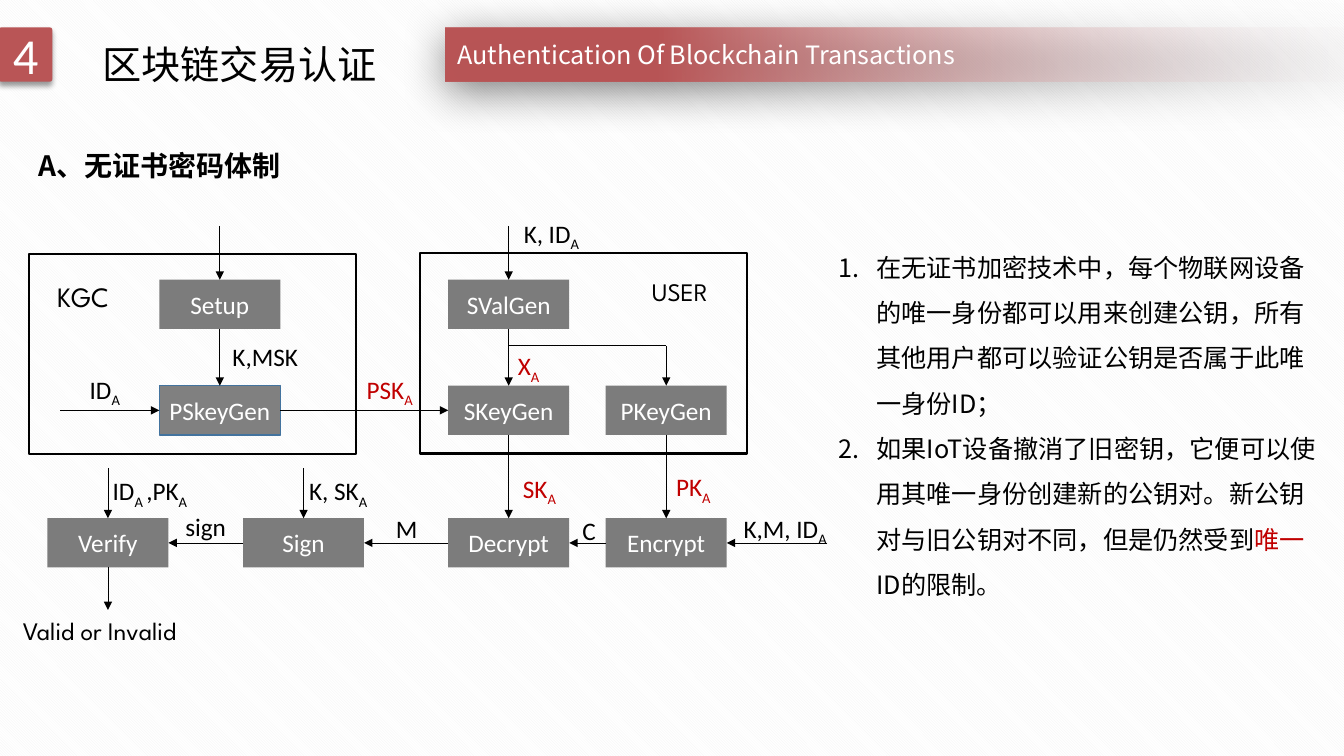
"""Builds the slide on certificateless keys for authenticating blockchain transactions."""
import lxml.etree
import pptx
import pptx.dml.color
import pptx.enum.dml
import pptx.enum.shapes
import pptx.enum.text
import pptx.oxml.ns
import pptx.util

Cm = pptx.util.Cm
Pt = pptx.util.Pt
RGBColor = pptx.dml.color.RGBColor
Shapes = pptx.enum.shapes.MSO_SHAPE
Align = pptx.enum.text.PP_ALIGN
Anchor = pptx.enum.text.MSO_ANCHOR
qn = pptx.oxml.ns.qn

BLACK = RGBColor(0x00, 0x00, 0x00)
WHITE = RGBColor(0xFF, 0xFF, 0xFF)
RED = RGBColor(0xC0, 0x00, 0x00)
BRICK = RGBColor(0xB9, 0x55, 0x56)
PALE = RGBColor(0xF7, 0xFA, 0xFD)
STRIPE = RGBColor(0xF2, 0xF2, 0xF2)
GREY = RGBColor(0x7C, 0x7C, 0x7C)
MID_GREY = RGBColor(0x80, 0x80, 0x80)
BLUE = RGBColor(0x43, 0x73, 0x9E)

LATIN, DISPLAY, CHINESE = "Calibri", "League Spartan", "Noto Sans CJK SC"
BOX_WIDTH, BOX_HEIGHT = 3.05, 1.24
HALF_WIDTH, HALF_HEIGHT = BOX_WIDTH / 2, BOX_HEIGHT / 2
VERIFY, SETUP, SIGN, USER, PUBLIC = 2.72, 5.54, 7.65, 12.82, 16.79
TOP, MIDDLE, BOTTOM = 7.67, 10.34, 13.68
ENTRY, BRANCH, SIGN_ENTRY = 5.69, 8.71, 11.8


class SlideBuilder:
    """Holds the text style and the current slide."""

    def __init__(self, page, size=18):
        self.page = page
        self.size = size

    def span(self, para, text, font=LATIN, color=BLACK, size=None, bold=False, lowered=False):
        span = para.add_run()
        span.text = text
        span.font.name = font
        span.font.size = Pt(size or self.size)
        span.font.bold = bold
        span.font.color.rgb = color
        properties = span.font._element
        lxml.etree.SubElement(properties, qn("a:ea")).set("typeface", font)
        if lowered:
            properties.set("baseline", "-25000")

    def shape(self, kind, left, top, width, height, fill=None, line=None, weight=1.5):
        shape = self.page.shapes.add_shape(kind, Cm(left), Cm(top), Cm(width), Cm(height))
        shape.shadow.inherit = False
        if fill is None:
            shape.fill.background()
        else:
            shape.fill.solid()
            shape.fill.fore_color.rgb = fill
        if line is None:
            shape.line.fill.background()
        else:
            shape.line.color.rgb = line
            shape.line.width = Pt(weight)
        return shape

    def caption(self, shape, text, size=None):
        frame = shape.text_frame
        frame.vertical_anchor = Anchor.MIDDLE
        frame.word_wrap = True
        para = frame.paragraphs[0]
        para.alignment = Align.CENTER
        self.span(para, text, color=WHITE, size=size)

    def box(self, text, center, middle, fill=GREY, line=None):
        shape = self.shape(Shapes.RECTANGLE, center - HALF_WIDTH, middle - HALF_HEIGHT,
                           BOX_WIDTH, BOX_HEIGHT, fill, line, 1)
        self.caption(shape, text)

    def label(self, text, left, top, width, **style):
        box = self.page.shapes.add_textbox(Cm(left), Cm(top), Cm(width), Cm(1.02))
        box.text_frame.word_wrap = True
        para = box.text_frame.paragraphs[0]
        for index, part in enumerate(text.split("|")):
            self.span(para, part, lowered=index % 2 == 1, **style)

    def line(self, start, end, arrow=True):
        line = self.page.shapes.add_connector(
            pptx.enum.shapes.MSO_CONNECTOR.STRAIGHT, *(Cm(value) for value in start + end))
        line.line.color.rgb = BLACK
        line.line.width = Pt(0.5)
        properties = line._element.spPr
        if arrow:
            tail = lxml.etree.SubElement(properties.find(qn("a:ln")), qn("a:tailEnd"))
            tail.set("type", "triangle")
        lxml.etree.SubElement(properties, qn("a:effectLst"))

    def cast_shadow(self, shape, opacity, blur, distance, angle):
        effects = shape._element.spPr.find(qn("a:effectLst"))
        shadow = lxml.etree.SubElement(effects, qn("a:outerShdw"))
        shadow.set("blurRad", str(Pt(blur)))
        shadow.set("dist", str(Pt(distance)))
        shadow.set("dir", str(angle * 60000))
        shadow.set("rotWithShape", "0")
        color = lxml.etree.SubElement(shadow, qn("a:srgbClr"))
        color.set("val", str(BLACK))
        lxml.etree.SubElement(color, qn("a:alpha")).set("val", str(opacity * 1000))

    def banner(self, left, top, width, height):
        bar = self.shape(Shapes.RECTANGLE, left, top, width, height)
        bar.fill.gradient()
        bar.fill.gradient_angle = 180
        for stop, color, position in zip(bar.fill.gradient_stops, (PALE, BRICK), (0, 0.78)):
            stop.color.rgb = color
            stop.position = position
        clear = next(bar._element.spPr.iter(qn("a:srgbClr")))
        lxml.etree.SubElement(clear, qn("a:alpha")).set("val", "0")
        self.cast_shadow(bar, 50, 31, 6, 97)

    def place(self, holder, left, top, width, height, wrap):
        holder.left, holder.top = Cm(left), Cm(top)
        holder.width, holder.height = Cm(width), Cm(height)
        frame = holder.text_frame
        frame.word_wrap = wrap
        frame.auto_size = pptx.enum.text.MSO_AUTO_SIZE.NONE
        frame.vertical_anchor = Anchor.TOP
        return frame

    def title(self, text):
        frame = self.place(self.page.shapes.title, 2.33, 0.3, 7.8, 1.83, False)
        para = frame.paragraphs[0]
        para.alignment = Align.LEFT
        para.line_spacing = 1.5
        self.span(para, text, CHINESE, size=28)

    def numbered_list(self, items):
        frame = self.place(self.page.placeholders[1], 20.88, 5.84, 12.78, 9.35, True)
        for index, item in enumerate(items):
            para = frame.add_paragraph() if index else frame.paragraphs[0]
            properties = para._element.get_or_add_pPr()
            properties.set("marL", str(Cm(0.95)))
            properties.set("indent", str(-Cm(0.95)))
            lxml.etree.SubElement(properties, qn("a:buFont")).set("typeface", CHINESE)
            lxml.etree.SubElement(properties, qn("a:buAutoNum")).set("type", "arabicPeriod")
            para.line_spacing = 1.5
            para.space_before = Pt(0)
            for text, color in item:
                self.span(para, text, CHINESE, color)


def main():
    deck = pptx.Presentation()
    deck.slide_width, deck.slide_height = Cm(33.87), Cm(19.05)
    page = deck.slides.add_slide(deck.slide_layouts[1])
    backdrop = page.background.fill
    backdrop.patterned()
    backdrop.pattern = pptx.enum.dml.MSO_PATTERN.DARK_DOWNWARD_DIAGONAL
    backdrop.fore_color.rgb, backdrop.back_color.rgb = STRIPE, WHITE

    builder = SlideBuilder(page)
    builder.title("区块链交易认证")
    badge = builder.shape(Shapes.ROUNDED_RECTANGLE, -0.03, 0.69, 1.35, 1.37, BRICK)
    badge.adjustments[0] = 0.05
    builder.cast_shadow(badge, 40, 4, 3, 90)
    builder.caption(badge, "4", 36)
    builder.banner(11.23, 0.71, 24.21, 1.35)
    builder.label("Authentication Of Blockchain Transactions", 11.28, 0.86, 13.61,
                  font=CHINESE, color=WHITE)
    builder.label("A、无证书密码体制", 0.71, 3.61, 7.77, font=CHINESE, size=20, bold=True)
    builder.numbered_list([
        [("在无证书加密技术中，每个物联网设备的唯一身份都可以用来创建公钥，"
          "所有其他用户都可以验证公钥是否属于此唯一身份ID；", BLACK)],
        [("如果IoT设备撤消了旧密钥，它便可以使用其唯一身份创建新的公钥对。"
          "新公钥对与旧公钥对不同，但是仍然受到", BLACK), ("唯一", RED), ("ID的限制。", BLACK)],
    ])

    for left, top in ((0.74, 6.4), (10.59, 6.38)):
        builder.shape(Shapes.RECTANGLE, left, top, 8.23, 5.05, line=BLACK)
    for text, center, middle in (
            ("Setup", SETUP, TOP), ("SValGen", USER, TOP), ("SKeyGen", USER, MIDDLE),
            ("PKeyGen", PUBLIC, MIDDLE), ("Verify", VERIFY, BOTTOM), ("Sign", SIGN, BOTTOM),
            ("Decrypt", USER, BOTTOM), ("Encrypt", PUBLIC, BOTTOM)):
        builder.box(text, center, middle)
    builder.box("PSkeyGen", SETUP, MIDDLE, MID_GREY, BLUE)

    for center in (SETUP, USER):
        builder.line((center, ENTRY), (center, TOP - HALF_HEIGHT))
        builder.line((center, TOP + HALF_HEIGHT), (center, MIDDLE - HALF_HEIGHT))
    builder.line((USER, BRANCH), (PUBLIC, BRANCH), arrow=False)
    builder.line((PUBLIC, BRANCH), (PUBLIC, MIDDLE - HALF_HEIGHT))
    for center in (USER, PUBLIC):
        builder.line((center, MIDDLE + HALF_HEIGHT), (center, BOTTOM - HALF_HEIGHT))
    for center in (VERIFY, SIGN):
        builder.line((center, SIGN_ENTRY), (center, BOTTOM - HALF_HEIGHT))
    builder.line((VERIFY, BOTTOM + HALF_HEIGHT), (VERIFY, 15.37))
    builder.line((1.52, MIDDLE), (SETUP - HALF_WIDTH, MIDDLE))
    builder.line((SETUP + HALF_WIDTH, MIDDLE), (USER - HALF_WIDTH, MIDDLE))
    for source, target in ((PUBLIC, USER), (USER, SIGN), (SIGN, VERIFY)):
        builder.line((source - HALF_WIDTH, BOTTOM), (target + HALF_WIDTH, BOTTOM))
    builder.line((20.85, BOTTOM), (PUBLIC + HALF_WIDTH, BOTTOM))

    builder.label("KGC", 1.19, 6.91, 2.36, font=DISPLAY, size=20)
    builder.label("USER", 16.18, 6.83, 2.34, font=DISPLAY)
    builder.label("Valid or Invalid", 0.33, 15.39, 5.54, font=DISPLAY)
    for text, left, top, width in (
            ("ID|A", 2.01, 9.3, 1.57), ("K,MSK", 5.61, 8.48, 2.9), ("K, ID|A", 12.95, 5.38, 2.54),
            ("C", 14.43, 12.85, 0.64), ("K,M, ID|A", 18.49, 12.8, 2.82), ("M", 9.73, 12.8, 1.5),
            ("K, SK|A", 7.54, 11.86, 2.16), ("sign", 4.42, 12.75, 1.7),
            ("ID|A |,PK|A", 2.59, 11.86, 2.57)):
        builder.label(text, left, top, width)
    for text, left, top, width in (
            ("X|A", 12.8, 8.71, 1.75), ("SK|A", 12.93, 11.79, 1.73),
            ("PK|A", 16.79, 11.76, 1.73), ("PSK|A", 8.99, 9.3, 2.29)):
        builder.label(text, left, top, width, color=RED)
    deck.save("out.pptx")


if __name__ == "__main__":
    main()
